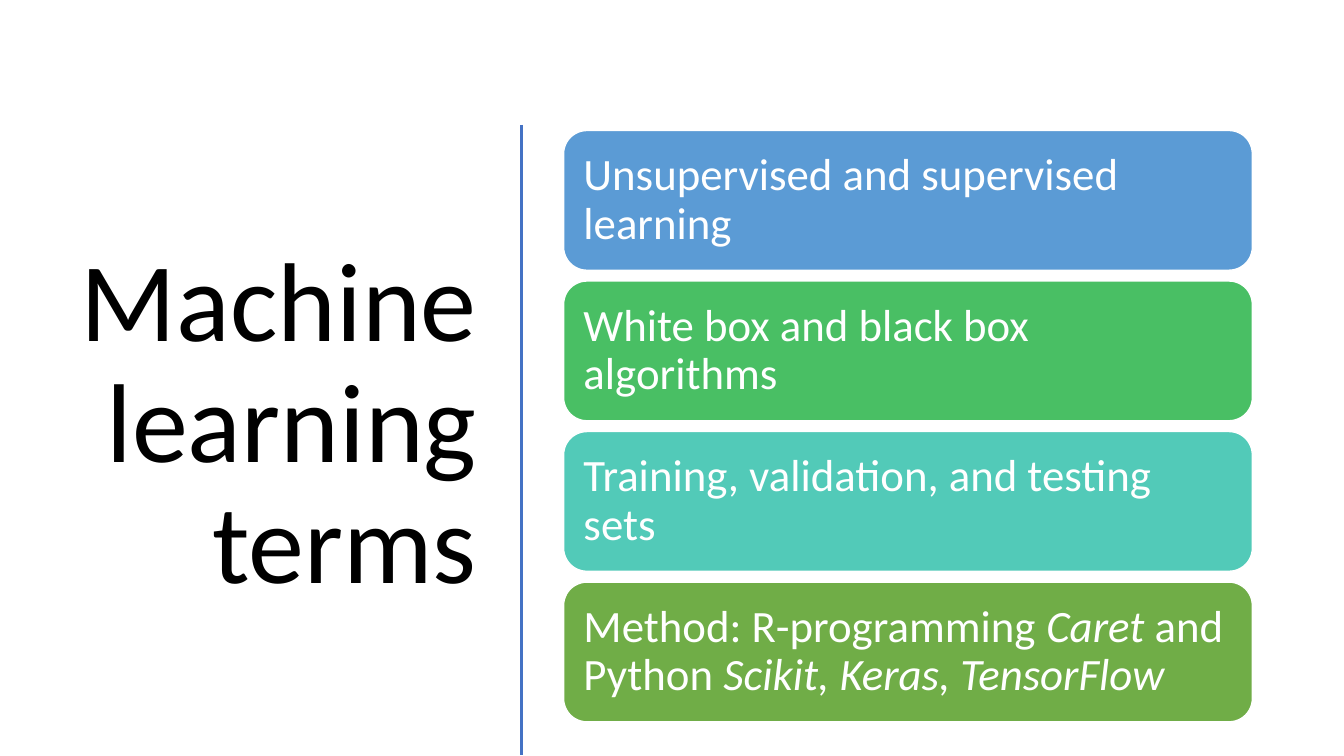
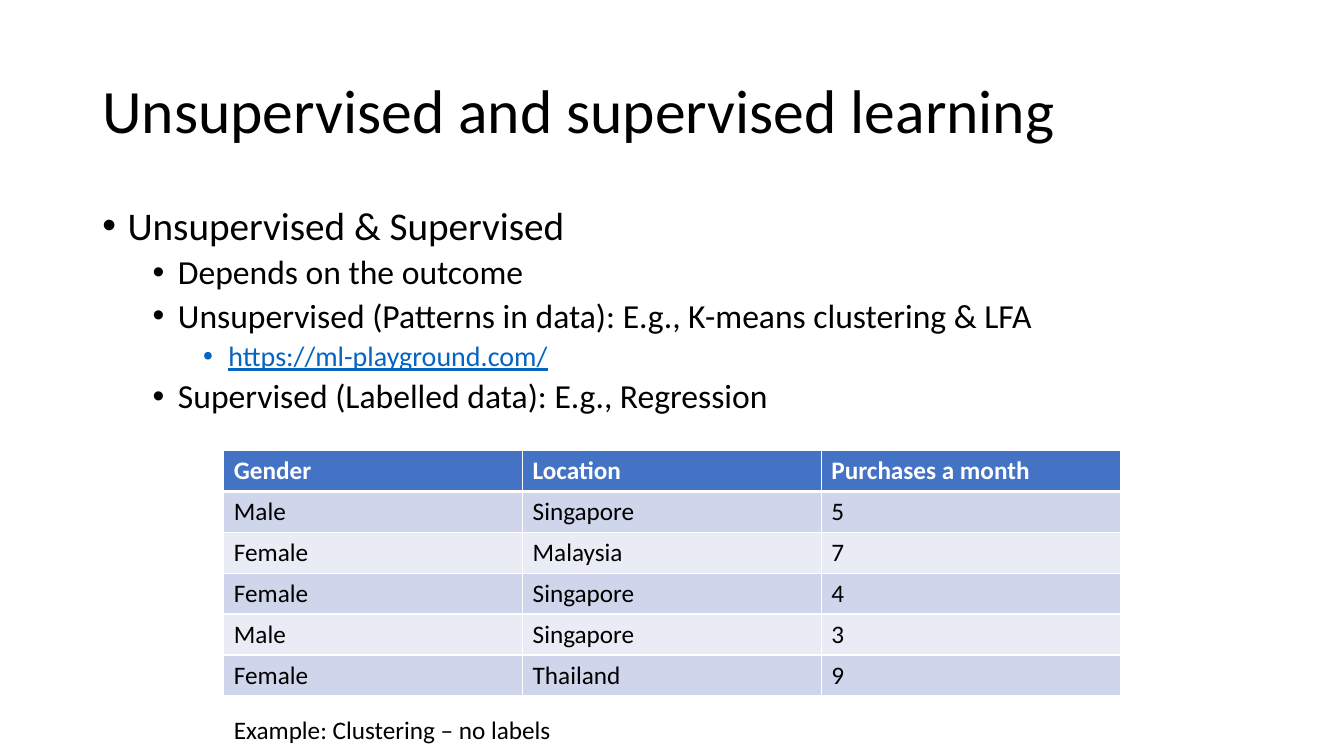
from pptx import Presentation
from pptx.dml.color import RGBColor
from pptx.enum.shapes import MSO_CONNECTOR, MSO_SHAPE
from pptx.enum.text import MSO_ANCHOR, PP_ALIGN
from pptx.oxml.ns import qn
from pptx.util import Inches, Pt
from lxml import etree

LEFT, RIGHT = PP_ALIGN.LEFT, PP_ALIGN.RIGHT
TOP, MIDDLE = MSO_ANCHOR.TOP, MSO_ANCHOR.MIDDLE
ROUNDED, STRAIGHT = MSO_SHAPE.ROUNDED_RECTANGLE, MSO_CONNECTOR.STRAIGHT

COLORS = {
    "text": "000000", "white": "FFFFFF", "accent": "4472C4", "link": "0563C1",
    "blue": "5B9BD5", "green": "49BF64", "teal": "52CAB8", "olive": "70AD47",
    "band_dark": "CFD5EA", "band_light": "E9EBF5",
}
FONT = "Calibri"
COLS, ROWS = 160, 90  # fine grid of square cells
BULLET_SIZES = (28, 24, 20)


def color(name):
    return RGBColor.from_string(COLORS[name])


class Deck:
    """Shared style and the slide being filled; lengths are grid cells."""

    def __init__(self):
        self.prs = Presentation()
        self.prs.slide_width, self.prs.slide_height = Inches(13.33), Inches(7.5)
        self.slide = None

    def new_slide(self):
        self.slide = self.prs.slides.add_slide(self.prs.slide_layouts[6])

    def x(self, cols):
        return round(self.prs.slide_width * cols / COLS)

    def y(self, rows):
        return round(self.prs.slide_height * rows / ROWS)

    def box(self, left, top, width, height):
        return self.x(left), self.y(top), self.x(width), self.y(height)

    def style(self, p, size, name="text", bold=False, spacing=0.9, align=LEFT):
        p.alignment, p.line_spacing = align, spacing
        for r in p.runs:
            f = r.font
            f.name, f.size, f.bold = FONT, Pt(size), bold
            f.color.rgb = color(name)

    def frame(self, box, anchor=TOP):
        tf = self.slide.shapes.add_textbox(*self.box(*box)).text_frame
        tf.word_wrap, tf.vertical_anchor = True, anchor
        return tf

    def text(self, text, box, size, anchor=TOP, align=LEFT, spacing=0.9):
        tf = self.frame(box, anchor)
        tf.text = text
        self.style(tf.paragraphs[0], size, align=align, spacing=spacing)

    def title(self, text, box, size=44, align=LEFT):
        self.text(text, box, size, MIDDLE, align)

    def line(self, x1, y1, x2, y2):
        s = self.slide.shapes.add_connector(
            STRAIGHT, self.x(x1), self.y(y1), self.x(x2), self.y(y2))
        s.line.color.rgb, s.line.width = color("accent"), Pt(2)
        etree.SubElement(s.element.spPr, qn("a:effectLst"))

    def card(self, parts, box, fill):
        """Rounded card; every second part of its text is italic."""
        s = self.slide.shapes.add_shape(ROUNDED, *self.box(*box))
        s.shadow.inherit = False
        s.fill.solid()
        s.fill.fore_color.rgb = color(fill)
        s.line.color.rgb, s.line.width = color("white"), Pt(1)
        tf = s.text_frame
        tf.word_wrap, tf.vertical_anchor = True, MIDDLE
        tf.margin_left = tf.margin_right = Inches(0.13)
        tf.margin_top = tf.margin_bottom = Inches(0.13)
        p = tf.paragraphs[0]
        for i, part in enumerate(parts):
            r = p.add_run()
            r.text, r.font.italic = part, i % 2 == 1
        self.style(p, 32, "white")

    def bullets(self, items, box):
        tf = self.frame(box)
        for i, (level, text) in enumerate(items):
            p = tf.paragraphs[0] if i == 0 else tf.add_paragraph()
            p.text, p.level = text, level
            if i:
                p.space_before = Pt(5)
            is_link = text.startswith("https://")
            self.style(p, BULLET_SIZES[level], "link" if is_link else "text")
            p.runs[0].font.underline = is_link
            pPr = p._p.get_or_add_pPr()
            pPr.set("marL", str(Inches(0.25 + 0.5 * level)))
            pPr.set("indent", str(Inches(-0.25)))
            etree.SubElement(pPr, qn("a:buFont"), typeface="Arial")
            etree.SubElement(pPr, qn("a:buChar"), char="•")

    def borders(self, cell, bottom):
        tcPr = cell._tc.get_or_add_tcPr()
        sides = (("a:lnL", 1), ("a:lnR", 1), ("a:lnT", 1), ("a:lnB", bottom))
        for i, (side, width) in enumerate(sides):
            ln = etree.Element(qn(side), w=str(Pt(width)))
            fill = etree.SubElement(ln, qn("a:solidFill"))
            etree.SubElement(fill, qn("a:srgbClr"), val=COLORS["white"])
            tcPr.insert(i, ln)  # borders come before the fill

    def table(self, rows, box):
        table = self.slide.shapes.add_table(
            len(rows), len(rows[0]), *self.box(*box)).table
        for i, row in enumerate(rows):
            head = i == 0
            fill = "accent" if head else "band_dark" if i % 2 else "band_light"
            for j, text in enumerate(row):
                cell = table.cell(i, j)
                cell.text = text
                cell.fill.solid()
                cell.fill.fore_color.rgb = color(fill)
                self.style(cell.text_frame.paragraphs[0], 18,
                           "white" if head else "text", head, 1.0)
                self.borders(cell, 3 if head else 1)


def terms_slide(deck):
    deck.new_slide()
    deck.title("Machine learning terms", (6.24, 14.04, 51.74, 73.32), 80, RIGHT)
    deck.line(62.06, 14.88, 62.06, 89.88)

    # Cards at an equal pitch
    cards = [
        ("blue", ["Unsupervised and supervised learning"]),
        ("green", ["White box and black box algorithms"]),
        ("teal", ["Training, validation, and testing sets"]),
        ("olive", ["Method: R-programming ", "Caret ", "and Python ",
                   "Scikit, Keras, TensorFlow"]),
    ]
    for i, (fill, parts) in enumerate(cards):
        deck.card(parts, (67.1, 15.54 + 17.92 * i, 82, 16.64), fill)


def learning_slide(deck):
    deck.new_slide()
    deck.title("Unsupervised and supervised learning", (11, 4.8, 138, 17.4))
    deck.bullets([
        (0, "Unsupervised & Supervised"),
        (1, "Depends on the outcome"),
        (1, "Unsupervised (Patterns in data): E.g., K-means clustering & LFA"),
        (2, "https://ml-playground.com/"),
        (1, "Supervised (Labelled data): E.g., Regression"),
    ], (11, 24, 138, 57.1))

    # Example data and its caption
    deck.table([
        ("Gender", "Location", "Purchases a month"),
        ("Male", "Singapore", "5"),
        ("Female", "Malaysia", "7"),
        ("Female", "Singapore", "4"),
        ("Male", "Singapore", "3"),
        ("Female", "Thailand", "9"),
    ], (26.65, 53.64, 106.7, 29.2))
    deck.text("Example: Clustering – no labels", (26.65, 84.48, 49.2, 4.8), 18,
              spacing=1.0)


def main():
    deck = Deck()
    terms_slide(deck)
    learning_slide(deck)
    deck.prs.save("out.pptx")


if __name__ == "__main__":
    main()
